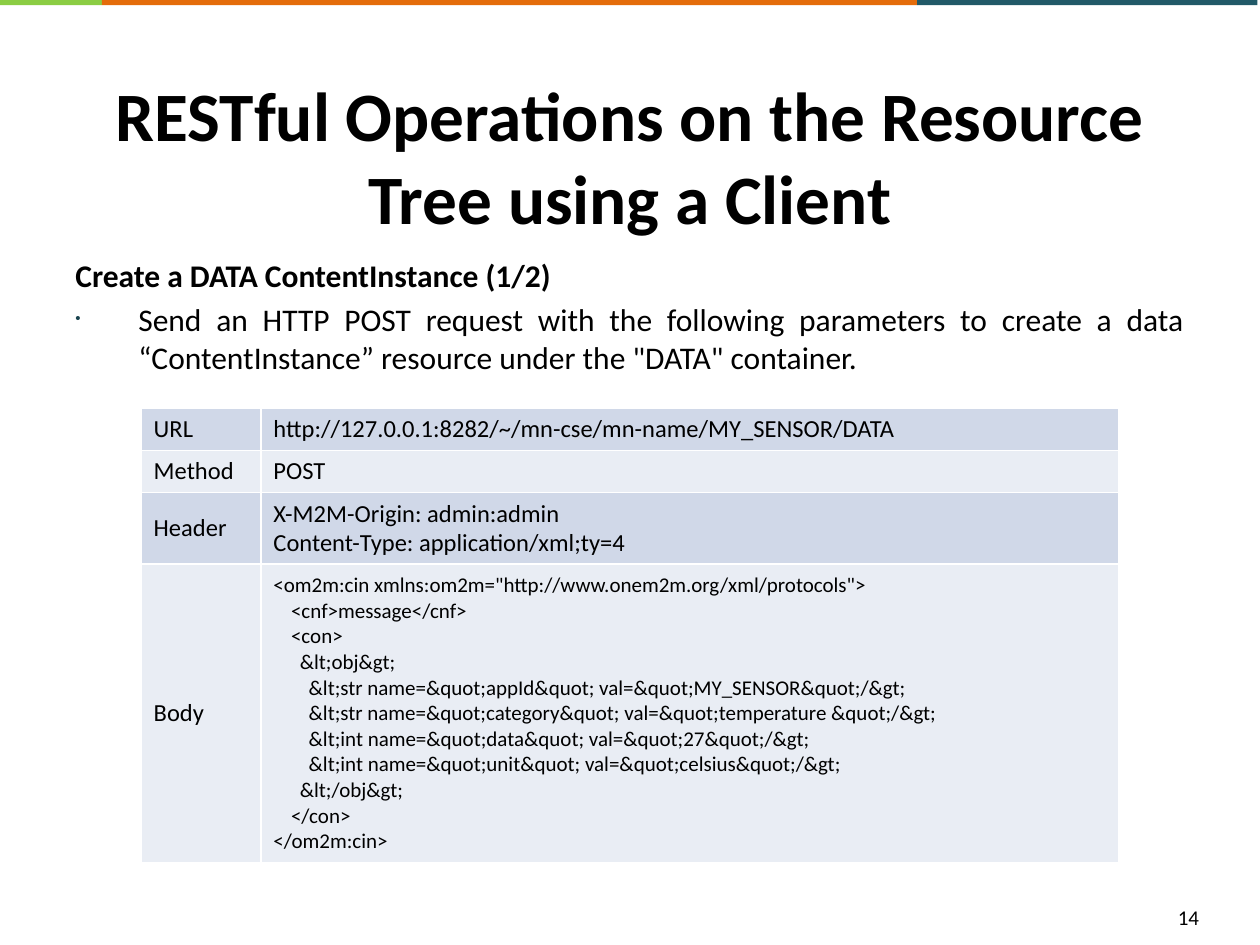
from pptx import Presentation
from pptx.dml.color import RGBColor
from pptx.enum.shapes import MSO_SHAPE
from pptx.enum.text import MSO_ANCHOR, PP_ALIGN
from pptx.oxml.ns import qn
from pptx.util import Inches, Pt
from lxml.etree import SubElement

BLACK, WHITE = "000000", "FFFFFF"
BAND_FILLS = ("D0D8E8", "E9EDF4")
CODE_STEP = 0.07  # indent of one code level, inches
BODY_CODE = [  # (indent level, line)
    (0, '<om2m:cin xmlns:om2m="http://www.onem2m.org/xml/protocols">'),
    (2, "<cnf>message</cnf>"),
    (2, "<con>"),
    (3, "&lt;obj&gt;"),
    (4, "&lt;str name=&quot;appId&quot; val=&quot;MY_SENSOR&quot;/&gt;"),
    (4, "&lt;str name=&quot;category&quot; val=&quot;temperature &quot;/&gt;"),
    (4, "&lt;int name=&quot;data&quot; val=&quot;27&quot;/&gt;"),
    (4, "&lt;int name=&quot;unit&quot; val=&quot;celsius&quot;/&gt;"),
    (3, "&lt;/obj&gt;"),
    (2, "</con>"),
    (0, "</om2m:cin>"),
]
REQUEST = [  # (label, lines)
    ("URL", [(0, "http://127.0.0.1:8282/~/mn-cse/mn-name/MY_SENSOR/DATA")]),
    ("Method", [(0, "POST")]),
    ("Header", [(0, "X-M2M-Origin: admin:admin\vContent-Type: application/xml;ty=4")]),
    ("Body", BODY_CODE),
]


def rgb(value):
    return RGBColor.from_string(value)


def write(p, text, size, bold=False):
    p.text = text
    for r in p.runs:
        r.font.name = "Calibri"
        r.font.size = Pt(size)
        r.font.bold = bold
        r.font.color.rgb = rgb(BLACK)


def add_text_frame(slide, box):
    tf = slide.shapes.add_textbox(*map(Inches, box)).text_frame
    tf.word_wrap = True
    return tf


def indent(p, left, first=0):
    pPr = p._p.get_or_add_pPr()
    pPr.set("marL", str(Inches(left)))
    pPr.set("indent", str(Inches(first)))
    return pPr


def add_bullet(p, color, percent):
    pPr = indent(p, 0.5, -0.5)
    SubElement(SubElement(pPr, qn("a:buClr")), qn("a:srgbClr"), val=color)
    SubElement(pPr, qn("a:buSzPct"), val=str(percent * 1000))
    SubElement(pPr, qn("a:buFont"), typeface="Arial")
    SubElement(pPr, qn("a:buChar"), char="•")


def add_top_bar(slide, left, top, height):
    for width, color in ((0.86, "8BCD43"), (6.47, "E46C0A"), (2.7, "215968")):
        sp = slide.shapes.add_shape(
            MSO_SHAPE.RECTANGLE, *map(Inches, (left, top, width, height)))
        sp.shadow.inherit = False
        sp.fill.solid()
        sp.fill.fore_color.rgb = rgb(color)
        sp.line.fill.background()
        left += width


def add_title(slide, box):
    tf = add_text_frame(slide, box)
    tf.vertical_anchor = MSO_ANCHOR.MIDDLE
    p = tf.paragraphs[0]
    write(p, "RESTful Operations on the Resource Tree using a Client", 39.6, True)
    p.alignment = PP_ALIGN.CENTER


def add_intro(slide, box):
    tf = add_text_frame(slide, box)
    heading, item = tf.paragraphs[0], tf.add_paragraph()
    write(heading, "Create a DATA ContentInstance (1/2)", 18, True)
    write(item, "Send an HTTP POST request with the following parameters to create "
                "a data “ContentInstance” resource under the \"DATA\" container.", 18)
    item.alignment = PP_ALIGN.JUSTIFY
    for p in (heading, item):
        p.space_before = Pt(3.6)
    add_bullet(item, "19434F", 48)


def set_borders(cell, color):
    tcPr = cell._tc.get_or_add_tcPr()
    for i, side in enumerate(("lnL", "lnR", "lnT", "lnB")):
        ln = tcPr.makeelement(qn(f"a:{side}"), {"w": str(Pt(1))})
        fill = SubElement(ln, qn("a:solidFill"))
        SubElement(fill, qn("a:srgbClr"), val=color)
        tcPr.insert(i, ln)  # borders come before the fill


def fill_cell(cell, lines, size, color):
    tf = cell.text_frame
    for i, (level, text) in enumerate(lines):
        p = tf.add_paragraph() if i else tf.paragraphs[0]
        write(p, text, size)
        if level:
            indent(p, level * CODE_STEP)
    cell.vertical_anchor = MSO_ANCHOR.MIDDLE
    cell.fill.solid()
    cell.fill.fore_color.rgb = rgb(color)
    set_borders(cell, WHITE)


def add_request_table(slide, box):
    table = slide.shapes.add_table(len(REQUEST), 2, *map(Inches, box)).table
    label_width = 0.95
    table.columns[0].width = Inches(label_width)
    table.columns[1].width = Inches(box[2] - label_width)
    for i, height in enumerate((0.33, 0.33, 0.57, 2.37)):
        table.rows[i].height = Inches(height)
    for i, (label, lines) in enumerate(REQUEST):
        color = BAND_FILLS[i % 2]
        fill_cell(table.cell(i, 0), [(0, label)], 14, color)
        fill_cell(table.cell(i, 1), lines, 12 if lines is BODY_CODE else 14, color)


def add_page_number(slide, box):
    write(add_text_frame(slide, box).paragraphs[0], "14", 12)


def main():
    prs = Presentation()
    prs.slide_width, prs.slide_height = Inches(10), Inches(7.5)
    slide = prs.slides.add_slide(prs.slide_layouts[6])
    add_top_bar(slide, -0.05, -0.01, 0.05)
    add_title(slide, (0.5, 0.68, 9, 1.1))
    add_intro(slide, (0.5, 1.98, 9, 4.84))
    add_request_table(slide, (1.12, 3.24, 7.76, 3.6))
    add_page_number(slide, (9.25, 7.13, 0.64, 0.4))
    prs.save("out.pptx")


if __name__ == "__main__":
    main()
